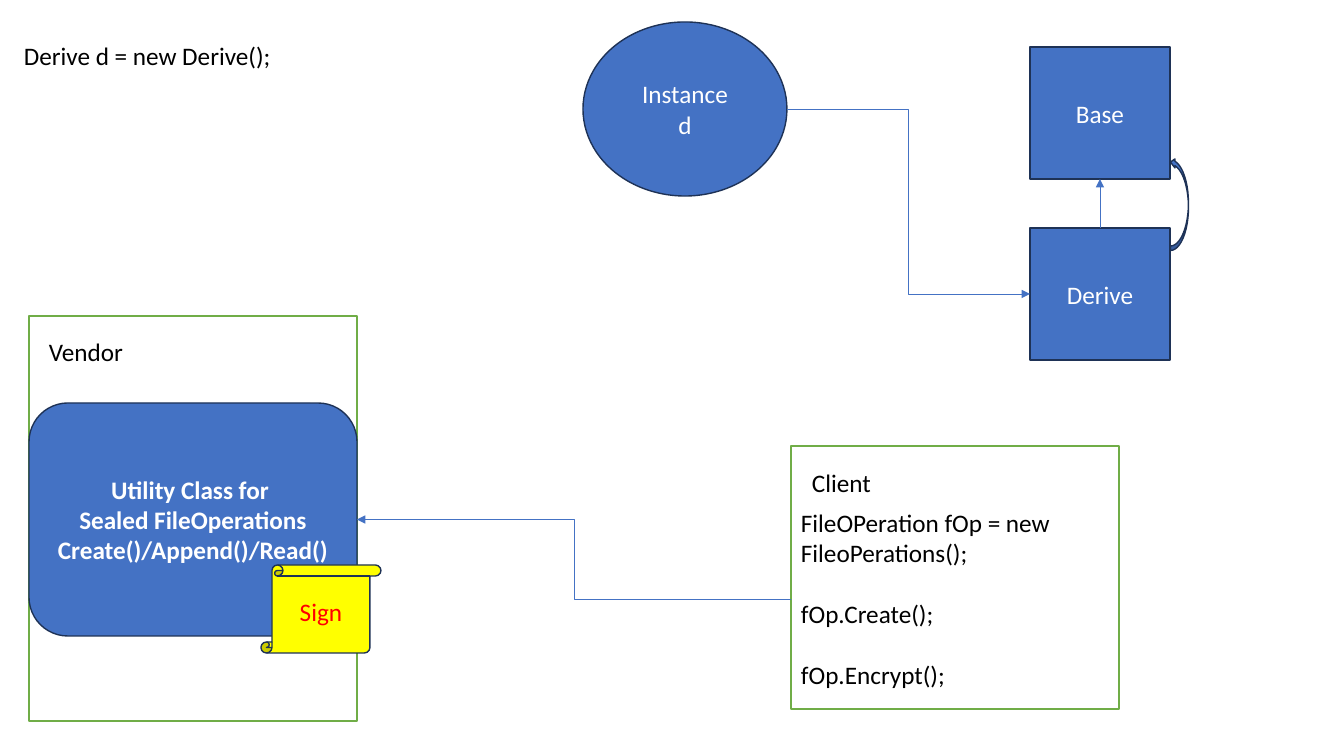
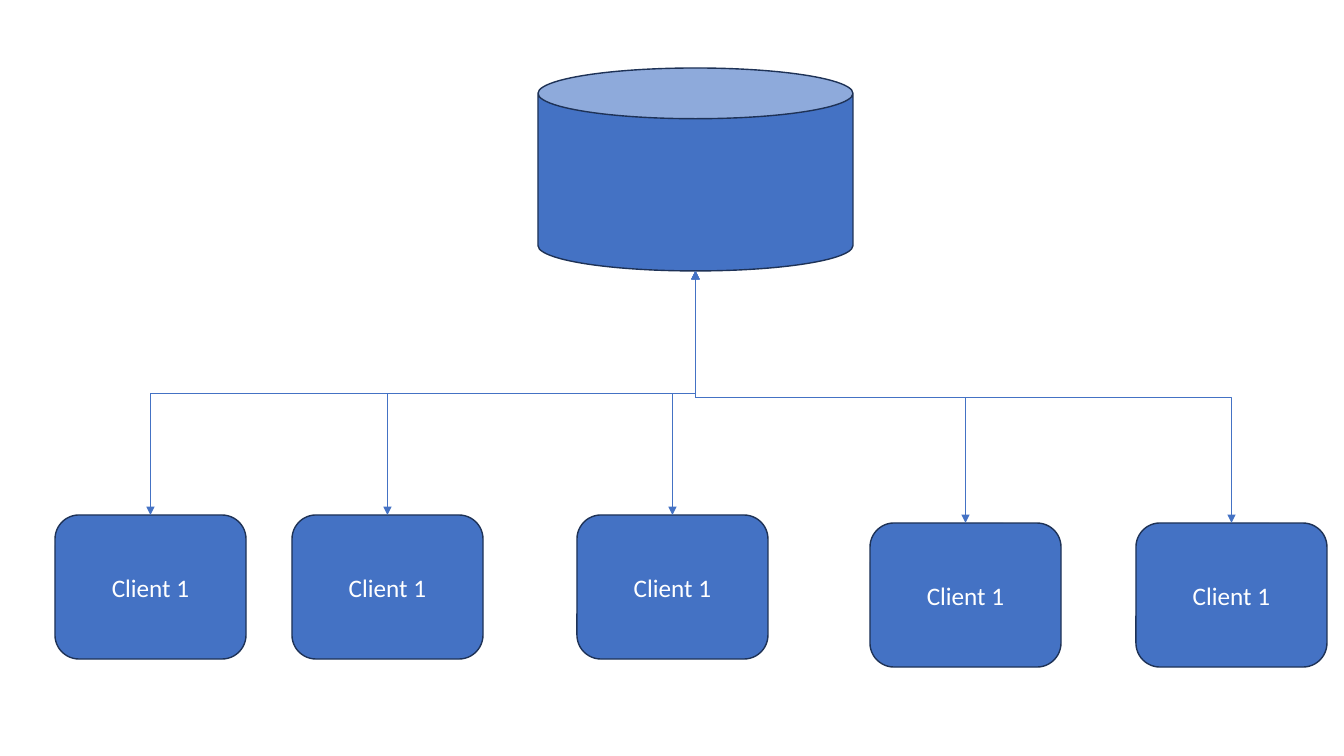
import lxml.etree
import pptx
import pptx.dml.color
import pptx.enum.shapes
import pptx.enum.text
import pptx.oxml.ns
import pptx.util

SCALE = 914400 / 100.8  # EMU in one pixel
SHAPES = pptx.enum.shapes.MSO_SHAPE
CONNECTORS = pptx.enum.shapes.MSO_CONNECTOR
ALIGN = pptx.enum.text.PP_ALIGN
COLOURS = {
    "blue": "4472C4", "navy": "1E3256", "green": "70AD47", "yellow": "FFFF00",
    "red": "FF0000", "white": "FFFFFF", "black": "000000",
}
# Side: share of width, share of height, connection site of a rectangle
SIDES = {"top": (0.5, 0, 0), "left": (0, 0.5, 1), "bottom": (0.5, 1, 2), "right": (1, 0.5, 3)}


def emu(pixels):
    return pptx.util.Emu(round(pixels * SCALE))


def rgb(name):
    return pptx.dml.color.RGBColor.from_string(COLOURS[name])


def add_element(parent, tag, **attributes):
    return lxml.etree.SubElement(parent, pptx.oxml.ns.qn(tag), attributes)


def anchor(shape, side):
    across, down, _ = SIDES[side]
    return round(shape.left + across * shape.width), round(shape.top + down * shape.height)


class Deck:
    font = "Calibri"
    size = 18

    def __init__(self):
        self.presentation = pptx.Presentation()
        self.presentation.slide_width = emu(1344)
        self.presentation.slide_height = emu(756)
        self.slide = None

    def new_slide(self):
        self.slide = self.presentation.slides.add_slide(self.presentation.slide_layouts[6])

    def fill_text(self, frame, lines, colour, align, bold=False, gap=0):
        frame.word_wrap = True
        for index, line in enumerate(lines):
            paragraph = frame.paragraphs[0] if index == 0 else frame.add_paragraph()
            paragraph.alignment = align
            if index and gap:
                paragraph.space_before = pptx.util.Pt(gap)
            run = paragraph.add_run()
            run.text = line
            run.font.name = self.font
            run.font.size = pptx.util.Pt(self.size)
            run.font.bold = bold
            run.font.color.rgb = rgb(colour)

    def shape(self, kind, box, lines=(), fill="blue", line="navy", colour="white", bold=False):
        shape = self.slide.shapes.add_shape(kind, *map(emu, box))
        shape.shadow.inherit = False
        shape.fill.solid()
        shape.fill.fore_color.rgb = rgb(fill)
        shape.line.color.rgb = rgb(line)
        shape.line.width = pptx.util.Pt(1)
        shape.text_frame.vertical_anchor = pptx.enum.text.MSO_ANCHOR.MIDDLE
        self.fill_text(shape.text_frame, lines, colour, ALIGN.CENTER, bold)
        return shape

    def panel(self, box):
        return self.shape(SHAPES.RECTANGLE, box, fill="white", line="green")

    def text(self, box, *lines, gap=0):
        shape = self.slide.shapes.add_textbox(*map(emu, box))
        self.fill_text(shape.text_frame, lines, "black", ALIGN.LEFT, gap=gap)
        shape.text_frame.auto_size = pptx.enum.text.MSO_AUTO_SIZE.SHAPE_TO_FIT_TEXT
        return shape

    def connect(self, start, start_side, end, end_side, kind=CONNECTORS.ELBOW,
                start_site=None, end_site=None, both_heads=False):
        """Join two shapes; a site overrides the connection site of a rectangle."""
        start_x, start_y = anchor(start, start_side)
        end_x, end_y = anchor(end, end_side)
        connector = self.slide.shapes.add_connector(kind, start_x, start_y, end_x, end_y)
        connector.line.color.rgb = rgb("blue")
        connector.line.width = pptx.util.Pt(0.5)
        properties = connector.element.spPr

        # An elbow that leaves upwards is a sideways elbow turned by 270 degrees
        if kind == CONNECTORS.ELBOW and start_side == "top":
            width, height = start_y - end_y, abs(end_x - start_x)
            connector.left = (start_x + end_x - width) // 2
            connector.top = (start_y + end_y - height) // 2
            connector.width, connector.height = width, height
            frame = properties.find(pptx.oxml.ns.qn("a:xfrm"))
            for flip in ("flipH", "flipV"):
                frame.attrib.pop(flip, None)
            frame.set("rot", str(270 * 60000))
            if end_x < start_x:
                frame.set("flipV", "1")

        # Arrowheads, no shadow
        outline = properties.find(pptx.oxml.ns.qn("a:ln"))
        if both_heads:
            add_element(outline, "a:headEnd", type="triangle")
        add_element(outline, "a:tailEnd", type="triangle")
        add_element(properties, "a:effectLst")

        # Glue both ends
        glue = next(connector.element.iter(pptx.oxml.ns.qn("p:cNvCxnSpPr")))
        for tag, shape, side, site in (("a:stCxn", start, start_side, start_site),
                                       ("a:endCxn", end, end_side, end_site)):
            index = SIDES[side][2] if site is None else site
            add_element(glue, tag, id=str(shape.shape_id), idx=str(index))


deck = Deck()

# Slide 1: inheritance at the top
deck.new_slide()
base = deck.shape(SHAPES.RECTANGLE, (1030, 47, 140, 132), ["Base"])
derive = deck.shape(SHAPES.RECTANGLE, (1030, 228, 140, 132), ["Derive"])
deck.connect(derive, "top", base, "bottom", CONNECTORS.STRAIGHT)
deck.text((14, 35, 269, 40), "Derive d = new Derive();")
instance = deck.shape(SHAPES.OVAL, (583, 22, 204, 174), ["Instance", "d"])
deck.connect(instance, "right", derive, "left", start_site=6)
curved_arrow = deck.shape(SHAPES.CURVED_UP_ARROW, (1133, 195, 93, 18))
curved_arrow.rotation = 270

# Slide 1: vendor and client
deck.panel((29, 316, 328, 405))
deck.text((39, 331, 245, 40), "Vendor")
utility = deck.shape(
    SHAPES.ROUNDED_RECTANGLE, (29, 403, 328, 233),
    ["Utility Class for ", "Sealed FileOperations", "Create()/Append()/Read()"], bold=True)
deck.panel((791, 446, 328, 263))
deck.text((802, 462, 163, 40), "Client")
client_code = deck.text(
    (791, 502, 328, 194),
    "FileOPeration fOp = new FileoPerations();", "fOp.Create();", "fOp.Encrypt();", gap=22)
deck.connect(client_code, "left", utility, "right")
deck.shape(SHAPES.VERTICAL_SCROLL, (261, 565, 120, 88), ["Sign"], fill="yellow", colour="red")

# Slide 2: clients around one store
deck.new_slide()
store = deck.shape(SHAPES.CAN, (538, 68, 315, 203))
clients = [
    deck.shape(SHAPES.ROUNDED_RECTANGLE, (left, top, 191, 144), ["Client 1"])
    for left, top in ((55, 515), (292, 515), (577, 515), (870, 523), (1136, 523))
]
for client in clients:
    deck.connect(client, "top", store, "bottom", end_site=3, both_heads=True)

deck.presentation.save("out.pptx")
